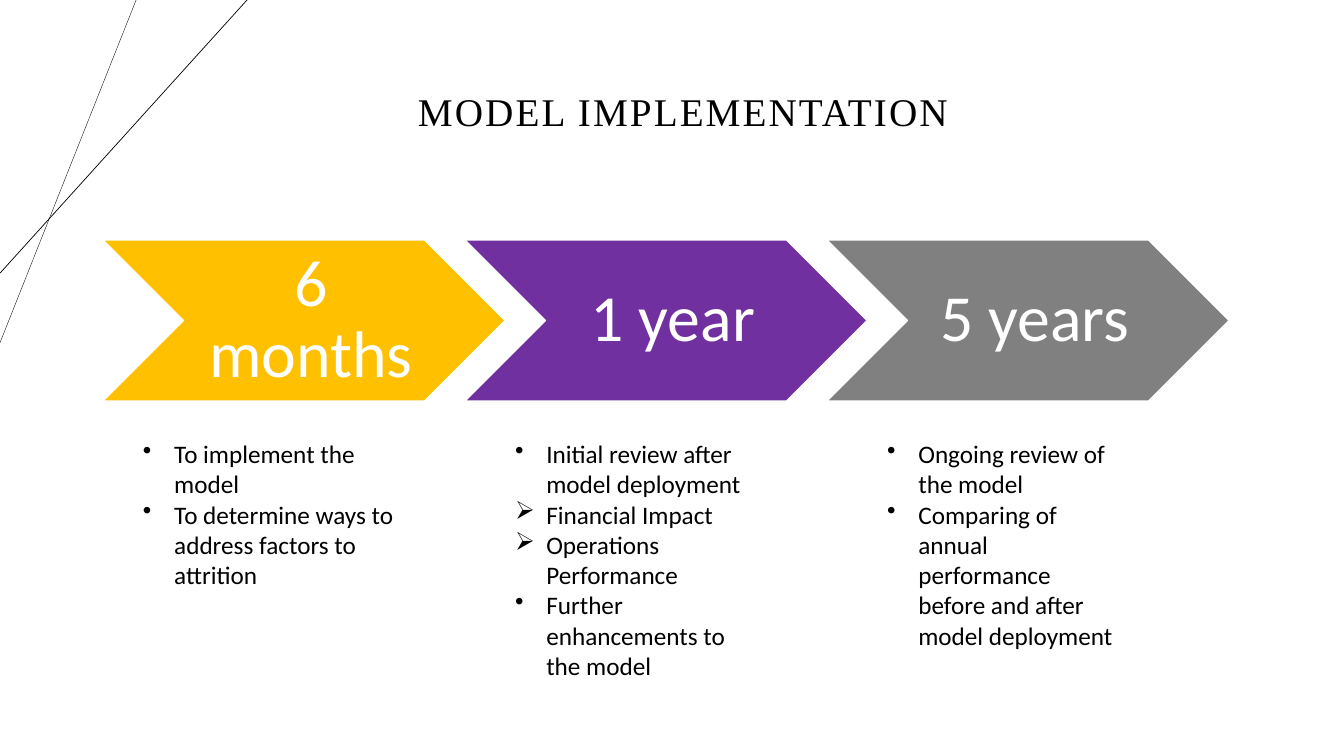
from lxml import etree
from pptx import Presentation
from pptx.dml.color import RGBColor
from pptx.enum import shapes, text
from pptx.oxml.ns import qn
from pptx.util import Inches, Pt

PHASES = [
    ("6 months", "FFC000", 2.74, 1.62, [
        ("•", "To implement the model"),
        ("•", "To determine ways to address factors to attrition")]),
    ("1 year", "7030A0", 2.49, 2.52, [
        ("•", "Initial review after model deployment"),
        ("➢", "Financial Impact"),
        ("➢", "Operations Performance"),
        ("•", "Further enhancements to the model")]),
    ("5 years", "808080", 2.49, 2.22, [
        ("•", "Ongoing review of the model"),
        ("•", "Comparing of annual performance before and after model deployment")]),
]


def rgb(value):
    return RGBColor.from_string(value)


def style(p, font, size, color):
    p.font.name = font
    p.font.size = Pt(size)
    p.font.color.rgb = rgb(color)


prs = Presentation()
prs.slide_width, prs.slide_height = Inches(13.33), Inches(7.5)
s = prs.slides.add_slide(prs.slide_layouts[6])

# Corner lines
for top_x, left_y, width in [(1.35, 3.4, 0.25), (2.45, 2.71, 0.5)]:
    line = s.shapes.add_connector(shapes.MSO_CONNECTOR.STRAIGHT,
                                  Inches(top_x), 0, 0, Inches(left_y))
    line.line.color.rgb = rgb("000000")
    line.line.width = Pt(width)
    etree.SubElement(line._element.spPr, qn("a:effectLst"))

# Title
title = s.shapes.add_textbox(Inches(2.17), Inches(0.4), Inches(9.21), Inches(1.45))
tf = title.text_frame
tf.word_wrap = True
tf.vertical_anchor = text.MSO_ANCHOR.MIDDLE
p = tf.paragraphs[0]
p.alignment = text.PP_ALIGN.CENTER
p.line_spacing = 0.9
r = p.add_run()
r.text = "MODEL IMPLEMENTATION"
r.font._element.set("spc", "150")
style(p, "Times New Roman", 28, "000000")

# Timeline chevrons with the steps below each
for i, (period, color, width, height, steps) in enumerate(PHASES):
    sp = s.shapes.add_shape(shapes.MSO_SHAPE.CHEVRON, Inches(1.02 + 3.59 * i),
                            Inches(2.38), Inches(3.99), Inches(1.6))
    sp.shadow.inherit = False
    sp.fill.solid()
    sp.fill.fore_color.rgb = rgb(color)
    sp.line.color.rgb = rgb("FFFFFF")
    sp.line.width = Pt(1)
    tf = sp.text_frame
    tf.word_wrap = True
    tf.vertical_anchor = text.MSO_ANCHOR.MIDDLE
    tf.margin_left = Inches(0.21)
    tf.margin_right = tf.margin_top = tf.margin_bottom = Inches(0.07)
    p = tf.paragraphs[0]
    p.text = period
    p.alignment = text.PP_ALIGN.CENTER
    p.line_spacing = 0.9
    style(p, "Calibri", 47, "FFFFFF")

    box = s.shapes.add_textbox(Inches(1.32 + 3.69 * i), Inches(4.3),
                               Inches(width), Inches(height))
    tf = box.text_frame
    tf.word_wrap = True
    tf.auto_size = text.MSO_AUTO_SIZE.SHAPE_TO_FIT_TEXT
    for n, (bullet, step) in enumerate(steps):
        p = tf.add_paragraph() if n else tf.paragraphs[0]
        p.text = step
        style(p, "Calibri", 18, "000000")
        pPr = p._p.get_or_add_pPr()
        pPr.set("marL", str(Inches(0.31)))
        pPr.set("indent", str(-Inches(0.31)))
        bu = etree.Element(qn("a:buChar"), char=bullet)
        pPr.insert(0, bu)

prs.save("out.pptx")
